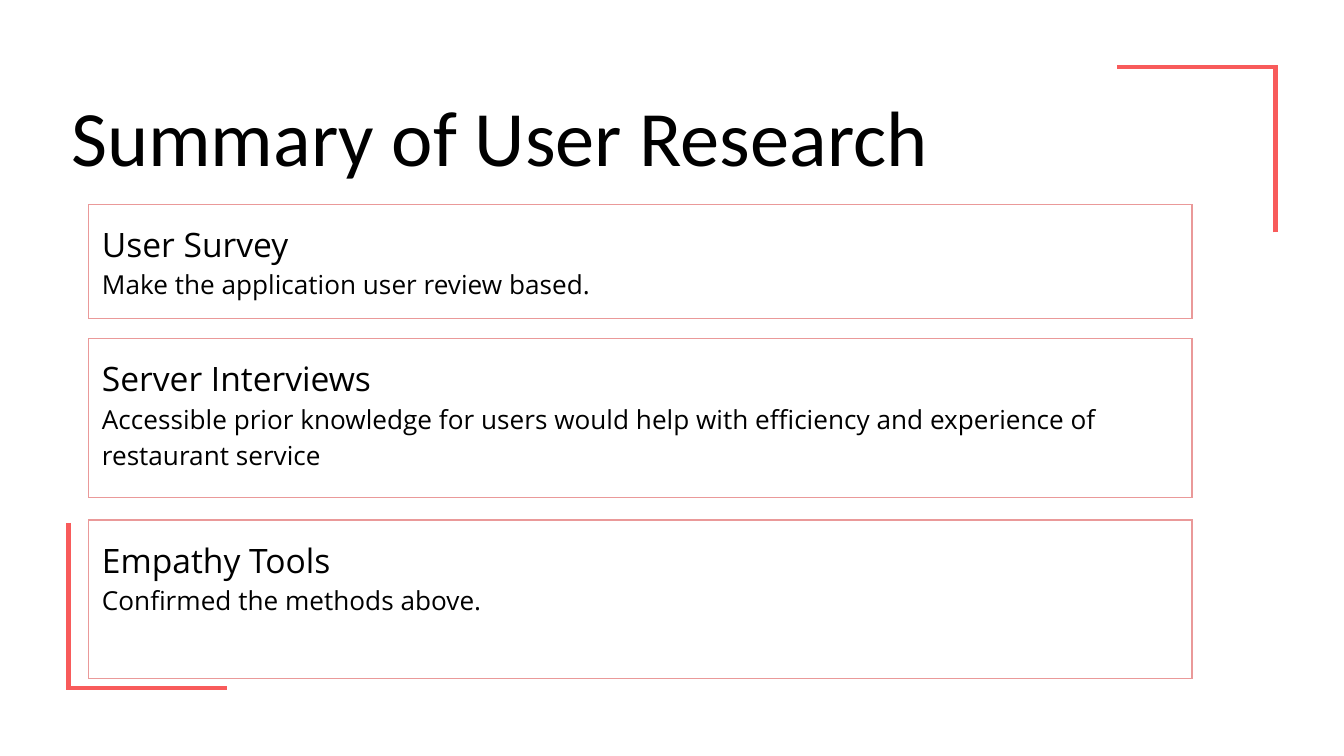
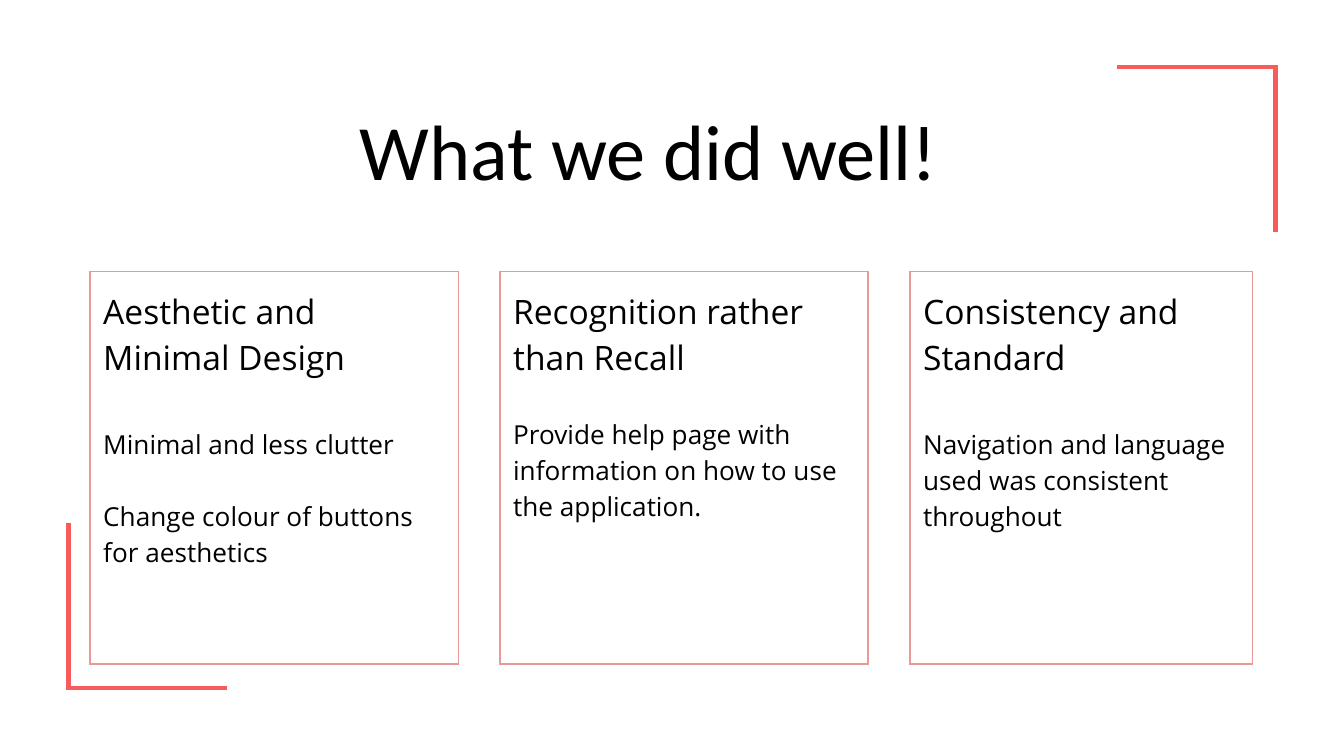
from lxml import etree
from pptx import Presentation, util as u
from pptx.dml.color import RGBColor
from pptx.enum import shapes, text
from pptx.oxml.ns import qn

HUES = {"ink": "000000", "mark": "F85B5B", "edge": "EA9999"}
LEFT, MID = text.PP_ALIGN.LEFT, text.PP_ALIGN.CENTER


def write(para, words, size=14, face="Open Sans", align=LEFT, lead=1.15, gap=0):
    para.text = words
    para.alignment = align
    para.line_spacing = lead
    if gap:
        para.space_before = u.Pt(gap)
    para.font.size = u.Pt(size)
    para.font.name = face
    para.font.color.rgb = RGBColor.from_string(HUES["ink"])


def outline(shape, hue, width):
    """Leave the shape unfilled, with a plain line and sharp corners."""
    shape.shadow.inherit = False
    shape.fill.background()
    shape.line.color.rgb = RGBColor.from_string(HUES[hue])
    shape.line.width = u.Pt(width)
    line = shape.line._get_or_add_ln()
    etree.SubElement(line, qn("a:miter"), lim="800000")


# Points of the two corner marks that frame every slide
corners = [
    [(9.49, 1.73), (9.49, 0.5), (8.31, 0.5)],
    [(0.51, 3.89), (0.51, 5.12), (1.69, 5.12)],
]

# Each card: place, heading, then lines with the space before them
rows = [
    ((0.66, 1.52, 8.21, 0.85), "User Survey",
     [("Make the application user review based.", 0)]),
    ((0.66, 2.52, 8.21, 1.18), "Server Interviews",
     [("Accessible prior knowledge for users would help with efficiency "
       "and experience of restaurant service", 0)]),
    ((0.66, 3.87, 8.21, 1.18), "Empathy Tools",
     [("Confirmed the methods above.", 0)]),
]
wins = [
    (2.74, "Aesthetic and Minimal Design",
     [("Minimal and less clutter", 24.6),
      ("Change colour of buttons for aesthetics", 19.4)]),
    (2.74, "Recognition rather than Recall",
     [("Provide help page with information on how to use the application.",
       19.2)]),
    (2.55, "Consistency and Standard",
     [("Navigation and language used was consistent throughout", 24.6)]),
]
cols = [((0.67 + 3.05 * i, 2.02, wide, 2.92), head, lines)
        for i, (wide, head, lines) in enumerate(wins)]

pages = [
    ("Summary of User Research", (0.43, 0.58, 8.31, 0.85), LEFT, rows),
    ("What we did well!", (0.67, 0.62, 8.31, 0.98), MID, cols),
]

deck = Presentation()
deck.slide_width = u.Inches(10)
deck.slide_height = deck.slide_width * 9 // 16

for name, place, align, cards in pages:
    slide = deck.slides.add_slide(deck.slide_layouts[5])

    for points in corners:
        start, *rest = [(u.Inches(x), u.Inches(y)) for x, y in points]
        path = slide.shapes.build_freeform(*start)
        path.add_line_segments(rest, close=False)
        outline(path.convert_to_shape(), "mark", 2.25)

    title = slide.shapes.title
    title.left, title.top, title.width, title.height = map(u.Inches, place)
    boxes = [(title.text_frame, text.MSO_ANCHOR.MIDDLE)]
    write(title.text_frame.paragraphs[0], name, size=42, face="Calibri",
          align=align, lead=1.0)

    for area, head, lines in cards:
        card = slide.shapes.add_shape(shapes.MSO_SHAPE.RECTANGLE,
                                      *map(u.Inches, area))
        outline(card, "edge", 0.75)
        frame = card.text_frame
        boxes.append((frame, text.MSO_ANCHOR.TOP))
        write(frame.paragraphs[0], head, size=18)
        for words, gap in lines:
            write(frame.add_paragraph(), words, gap=gap)

    for frame, anchor in boxes:
        frame.word_wrap = True
        frame.auto_size = text.MSO_AUTO_SIZE.NONE
        frame.vertical_anchor = anchor
        frame.margin_left = frame.margin_right = u.Inches(0.1)
        frame.margin_top = frame.margin_bottom = u.Inches(0.1)

deck.save("out.pptx")
